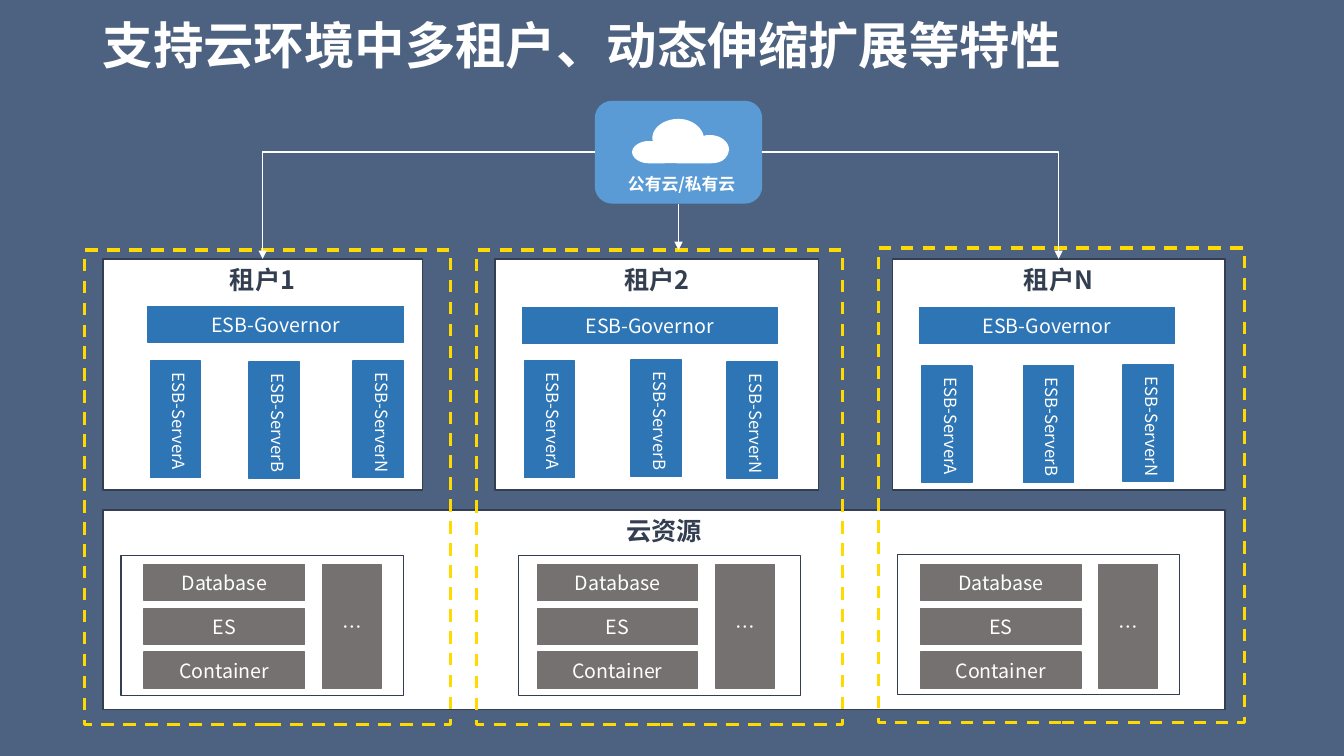
from lxml import etree
from pptx import Presentation
from pptx.dml.color import RGBColor
from pptx.enum import dml, shapes, text
from pptx.oxml.ns import qn
from pptx.util import Inches, Pt

FONT = "Noto Sans CJK SC"
SLATE = RGBColor(0x4D, 0x62, 0x80)
NAVY = RGBColor(0x33, 0x3F, 0x50)
BLUE = RGBColor(0x2E, 0x75, 0xB6)
SKY = RGBColor(0x5B, 0x9B, 0xD5)
GREY = RGBColor(0x76, 0x71, 0x71)
GOLD = RGBColor(0xFF, 0xDA, 0x00)
WHITE = RGBColor(0xFF, 0xFF, 0xFF)

RECT = shapes.MSO_SHAPE.RECTANGLE
ROUND = shapes.MSO_SHAPE.ROUNDED_RECTANGLE
TOP, MID = text.MSO_ANCHOR.TOP, text.MSO_ANCHOR.MIDDLE

# Per tenant: name, card (left, width), governor (left, top), servers (left, top),
# frame (left, top), resource box (left, top), left of the resource tiles
TENANTS = [
    ("租户1", (1.02, 3.17), (1.47, 3.04), [(1.49, 3.58), (2.47, 3.59), (3.5, 3.58)],
     (0.84, 2.48), (1.2, 5.51), 1.43),
    ("租户2", (4.91, 3.21), (5.18, 3.05), [(5.2, 3.58), (6.26, 3.57), (7.21, 3.59)],
     (4.73, 2.48), (5.14, 5.51), 5.33),
    ("租户N", (8.85, 3.3), (9.12, 3.05), [(9.14, 3.63), (10.15, 3.63), (11.14, 3.62)],
     (8.71, 2.46), (8.9, 5.5), 9.13),
]

# Cloud outline: start point, then Bézier segments
CLOUD = (6.73, 1.18)
CURVES = [
    ((6.86, 1.18), (6.96, 1.26), (6.98, 1.35)),
    ((7, 1.34), (7.02, 1.34), (7.04, 1.34)),
    ((7.15, 1.34), (7.23, 1.41), (7.23, 1.48)),
    ((7.23, 1.52), (7.21, 1.56), (7.17, 1.59)),
    ((7.14, 1.61), (7.1, 1.62), (7.05, 1.62)),
    ((6.43, 1.62), (6.43, 1.62), (6.43, 1.62)),
    ((6.35, 1.62), (6.27, 1.57), (6.27, 1.51)),
    ((6.27, 1.45), (6.35, 1.4), (6.43, 1.4)),
    ((6.48, 1.4), (6.48, 1.4), (6.48, 1.4)),
    ((6.47, 1.39), (6.47, 1.38), (6.47, 1.37)),
    ((6.47, 1.27), (6.58, 1.18), (6.73, 1.18)),
]


def write(frame, words, size, color, bold=False, align=None):
    para = frame.paragraphs[0]
    para.text = words
    para.alignment = align
    font = para.font
    font.name, font.size, font.bold = FONT, Pt(size), bold
    font.color.rgb = color
    props = para._p.pPr.find(qn("a:defRPr"))
    etree.SubElement(props, qn("a:ea"), typeface=FONT)
    return para


def box(slide, x, y, w, h, fill=None, line=None, width=1, kind=RECT):
    shape = slide.shapes.add_shape(kind, Inches(x), Inches(y), Inches(w), Inches(h))
    shape.shadow.inherit = False
    if fill is None:
        shape.fill.background()
    else:
        shape.fill.solid()
        shape.fill.fore_color.rgb = fill
    if line is None:
        shape.line.fill.background()
    else:
        shape.line.color.rgb = line
        shape.line.width = Pt(width)
    return shape


def panel(slide, x, y, w, h, words=""):
    shape = box(slide, x, y, w, h, WHITE, NAVY)
    if words:
        shape.text_frame.vertical_anchor = TOP
        write(shape.text_frame, words, 18, NAVY, True, text.PP_ALIGN.CENTER)
    return shape


def tile(slide, x, y, w, h, color, words):
    shape = box(slide, x, y, w, h, color, color)
    shape.text_frame.vertical_anchor = MID
    write(shape.text_frame, words, 14, WHITE, align=text.PP_ALIGN.CENTER)


def label(slide, x, y, w, h, words, size, bold=False):
    frame = slide.shapes.add_textbox(
        Inches(x), Inches(y), Inches(w), Inches(h)).text_frame
    frame.word_wrap = True
    return frame, write(frame, words, size, WHITE, bold)


def server(slide, x, y, words):
    box(slide, x, y, 0.5, 1.16, BLUE, BLUE)
    frame, _ = label(slide, x + 0.04, y + 0.02, 0.4, 1.25, words, 12)
    frame._txBody.bodyPr.set("vert", "eaVert")


def arrow(slide, card, site, x, y, goal=None, width=1):
    bent = goal is not None
    kind = shapes.MSO_CONNECTOR.ELBOW if bent else shapes.MSO_CONNECTOR.STRAIGHT
    link = slide.shapes.add_connector(kind, 0, 0, Inches(x), Inches(y))
    link.begin_connect(card, site)
    if bent:
        link.end_connect(goal, 0)
    link.line.color.rgb = WHITE
    link.line.width = Pt(width)
    props = link._element.spPr
    if bent:
        props.find(qn("a:prstGeom")).set("prst", "bentConnector2")
    etree.SubElement(props.find(qn("a:ln")), qn("a:tailEnd"), type="triangle")
    etree.SubElement(props, qn("a:effectLst"))


def cloud(slide, steps=10):
    spots, start = [], CLOUD
    for one, two, end in CURVES:
        for step in range(1, steps + 1):
            t = step / steps
            s = 1 - t
            spots.append(tuple(
                Inches(s**3 * a + 3 * s * s * t * b + 3 * s * t * t * c + t**3 * d)
                for a, b, c, d in zip(start, one, two, end)))
        start = end
    pen = slide.shapes.build_freeform(Inches(CLOUD[0]), Inches(CLOUD[1]))
    pen.add_line_segments(spots, close=True)
    shape = pen.convert_to_shape()
    shape.shadow.inherit = False
    shape.fill.solid()
    shape.fill.fore_color.rgb = WHITE
    shape.line.fill.background()


def main():
    deck = Presentation()
    deck.slide_width, deck.slide_height = Inches(13.33), Inches(7.5)
    slide = deck.slides.add_slide(deck.slide_layouts[6])
    slide.background.fill.solid()
    slide.background.fill.fore_color.rgb = SLATE

    # Tenants with their governor and servers
    cards = []
    for name, (left, width), lead, spots, *_ in TENANTS:
        cards.append(panel(slide, left, 2.57, width, 2.29, name))
        tile(slide, *lead, 2.53, 0.36, BLUE, "ESB-Governor")
        for (x, y), key in zip(spots, "ABN"):
            server(slide, x, y, f"ESB-Server{key}")

    # Shared resources, with a dashed frame around each tenant's part
    panel(slide, 1.02, 5.06, 11.13, 1.98, "云资源")
    for *_, edge, inner, x in TENANTS:
        panel(slide, *inner, 2.8, 1.39)
        frame = box(slide, *edge, 3.63, 4.71, line=GOLD, width=2.25)
        frame.line.dash_style = dml.MSO_LINE.DASH
        for row, words in enumerate(["Database", "ES", "Container"]):
            tile(slide, x, 5.6 + 0.435 * row, 1.59, 0.36, GREY, words)
        tile(slide, x + 1.77, 5.6, 0.58, 1.23, GREY, "…")

    # Cloud and its arrows
    card = box(slide, 5.9, 1, 1.66, 1.02, SKY, kind=ROUND)
    label(slide, 6.13, 1.67, 1.29, 0.3, "公有云/私有云", 12, True)
    arrow(slide, card, 1, 2.6, 2.57, cards[0])
    arrow(slide, card, 3, 10.5, 2.57, cards[2])
    arrow(slide, card, 2, 6.73, 2.48, width=0.5)
    cloud(slide)

    # Title
    frame, para = label(slide, 0.92, 0.13, 11.5, 0.7,
                        "支持云环境中多租户、动态伸缩扩展等特性", 36, True)
    frame.vertical_anchor = MID
    para.line_spacing = 0.9

    deck.save("out.pptx")


if __name__ == "__main__":
    main()
